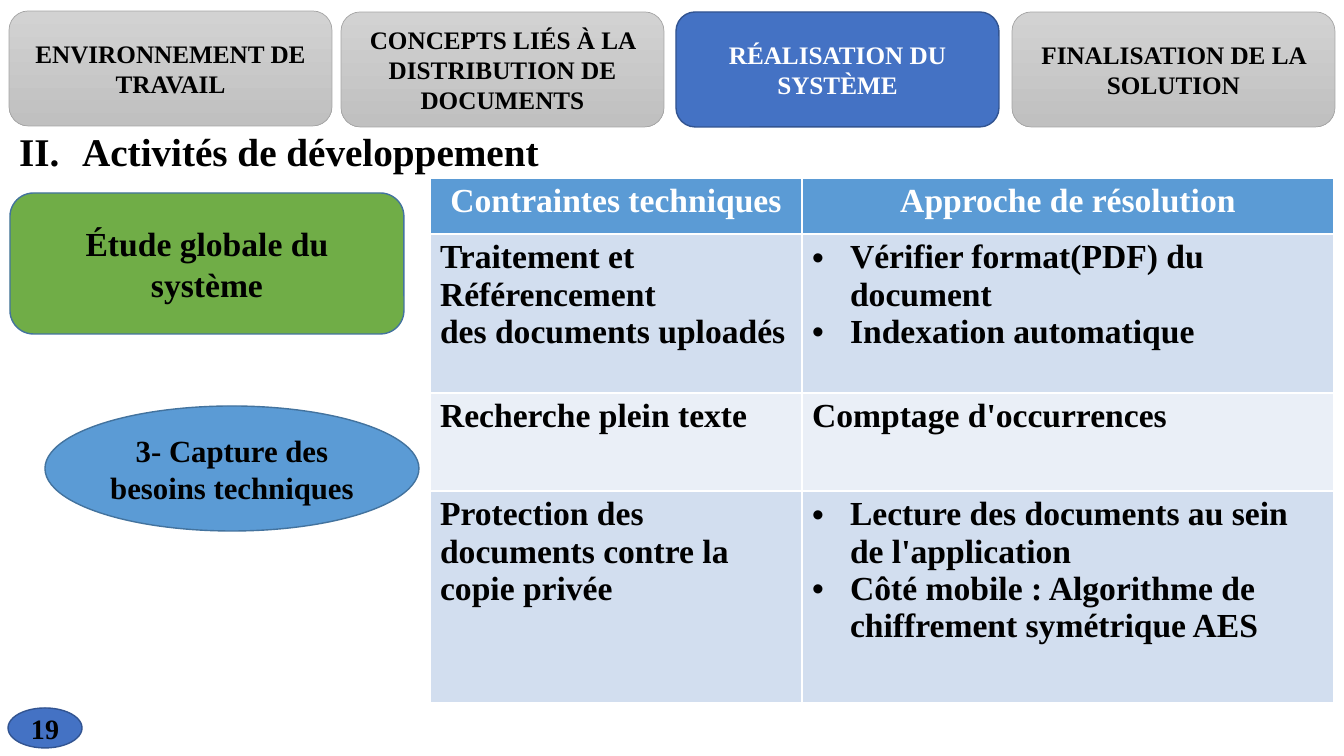
from lxml.etree import SubElement
from pptx import Presentation
from pptx.dml.color import RGBColor
from pptx.enum.shapes import MSO_SHAPE
from pptx.enum.text import MSO_ANCHOR, PP_ALIGN
from pptx.oxml.ns import qn
from pptx.util import Emu, Pt

FONT = "Times New Roman"
BLACK, WHITE = "000000", "FFFFFF"
BLUE, NAVY, SKY, STEEL, GREEN = "4472C4", "325491", "5B9BD5", "43739E", "70AD47"
BANDS = ("D2DEEF", "EAEFF7")
GREYS = ("D2D2D2", "C0C0C0")
GREY_EDGE = "A5A5A5"

STEPS = [
    ("ENVIRONNEMENT DE TRAVAIL", 9, 11),
    ("CONCEPTS LIÉS À LA DISTRIBUTION DE DOCUMENTS", 341, 12),
    ("RÉALISATION DU SYSTÈME", 676, 12),
    ("FINALISATION DE LA SOLUTION", 1012, 12),
]
CURRENT_STEP = 2

HEADERS = ("Contraintes techniques", "Approche de résolution")
CONSTRAINTS = [
    (["Traitement et Référencement", "des documents uploadés"],
     ["Vérifier format(PDF) du document", "Indexation automatique"]),
    (["Recherche plein texte"], ["Comptage d'occurrences"]),
    (["Protection des documents contre la copie privée"],
     ["Lecture des documents au sein de l'application",
      "Côté mobile : Algorithme de chiffrement symétrique AES"]),
]
COLUMN_WIDTHS = (372, 532)
ROW_HEIGHTS = (56, 159, 98, 212)


def px(length):
    """Turn pixels into EMU."""
    return Emu(round(length * 914400 / 100.8))


def rgb(code):
    """Turn a hex string into a colour."""
    return RGBColor.from_string(code)


def write(frame, lines, size, color=BLACK, align=PP_ALIGN.LEFT):
    """Fill a text frame with bold paragraphs."""
    frame.text = "\n".join(lines)
    for paragraph in frame.paragraphs:
        paragraph.alignment = align
        for run in paragraph.runs:
            run.font.name = FONT
            run.font.size = Pt(size)
            run.font.bold = True
            run.font.color.rgb = rgb(color)


def add_marker(paragraph, indent, tag, **attributes):
    """Give a paragraph a hanging bullet or number."""
    properties = paragraph._p.get_or_add_pPr()
    properties.set("marL", str(px(indent)))
    properties.set("indent", str(-px(indent)))
    if tag == "a:buChar":
        SubElement(properties, qn("a:buFont"), typeface="Arial")
    SubElement(properties, qn(tag), **attributes)


def add_label(slide, kind, box, text, size, fill, edge, color=BLACK, weight=1):
    """Draw a filled shape with centred text; a fill pair makes a gradient."""
    label = slide.shapes.add_shape(kind, *map(px, box))
    label.shadow.inherit = False
    if isinstance(fill, tuple):
        label.fill.gradient()
        label.fill.gradient_angle = 270
        for stop, shade in zip(label.fill.gradient_stops, fill):
            stop.color.rgb = rgb(shade)
    else:
        label.fill.solid()
        label.fill.fore_color.rgb = rgb(fill)
    label.line.color.rgb = rgb(edge)
    label.line.width = Pt(weight)
    label.text_frame.word_wrap = True
    label.text_frame.vertical_anchor = MSO_ANCHOR.MIDDLE
    write(label.text_frame, [text], size, color, PP_ALIGN.CENTER)


def add_heading(slide, text):
    """Put the numbered section heading in the body placeholder."""
    heading = slide.placeholders[1]
    heading.left, heading.top, heading.width, heading.height = map(px, (9, 128, 1326, 614))
    write(heading.text_frame, [text], 28, align=PP_ALIGN.JUSTIFY)
    paragraph = heading.text_frame.paragraphs[0]
    paragraph.line_spacing = 0.9
    paragraph.space_before = Pt(10)
    add_marker(paragraph, 63, "a:buAutoNum", type="romanUcPeriod", startAt="2")


def add_steps(slide):
    """Draw the navigation bar with the current step lit."""
    for index, (text, left, top) in enumerate(STEPS):
        look = (BLUE, NAVY, WHITE, 1) if index == CURRENT_STEP else (GREYS, GREY_EDGE, BLACK, 0.5)
        add_label(slide, MSO_SHAPE.ROUNDED_RECTANGLE, (left, top, 323, 115), text, 18, *look)


def fill_cell(cell, lines, fill, color=BLACK, align=PP_ALIGN.LEFT):
    """Write and colour one table cell."""
    cell.fill.solid()
    cell.fill.fore_color.rgb = rgb(fill)
    write(cell.text_frame, lines, 24, color, align)


def add_constraints(slide):
    """Build the table of constraints and solutions."""
    box = (430, 178, sum(COLUMN_WIDTHS), sum(ROW_HEIGHTS))
    table = slide.shapes.add_table(len(ROW_HEIGHTS), len(COLUMN_WIDTHS), *map(px, box)).table
    for column, width in zip(table.columns, COLUMN_WIDTHS):
        column.width = px(width)
    for row, height in zip(table.rows, ROW_HEIGHTS):
        row.height = px(height)
    for index, header in enumerate(HEADERS):
        fill_cell(table.cell(0, index), [header], SKY, WHITE, PP_ALIGN.CENTER)
    for number, (constraint, solutions) in enumerate(CONSTRAINTS, 1):
        band = BANDS[(number - 1) % 2]
        fill_cell(table.cell(number, 0), constraint, band)
        solution_cell = table.cell(number, 1)
        fill_cell(solution_cell, solutions, band)
        if len(solutions) > 1:
            for paragraph in solution_cell.text_frame.paragraphs:
                add_marker(paragraph, 38, "a:buChar", char="•")


def main():
    """Build and save the slide."""
    deck = Presentation()
    deck.slide_width, deck.slide_height = px(1344), px(756)
    slide = deck.slides.add_slide(deck.slide_layouts[1])
    unused_title = slide.shapes.title.element
    unused_title.getparent().remove(unused_title)
    add_heading(slide, "Activités de développement")
    add_steps(slide)
    add_label(slide, MSO_SHAPE.ROUNDED_RECTANGLE, (10, 193, 394, 141),
              "Étude globale du système", 24, GREEN, STEEL)
    add_label(slide, MSO_SHAPE.OVAL, (45, 406, 374, 125),
              "3- Capture des besoins techniques", 22, SKY, STEEL)
    add_constraints(slide)
    add_label(slide, MSO_SHAPE.OVAL, (8, 708, 74, 40), "19", 20, BLUE, NAVY)
    deck.save("out.pptx")


if __name__ == "__main__":
    main()
